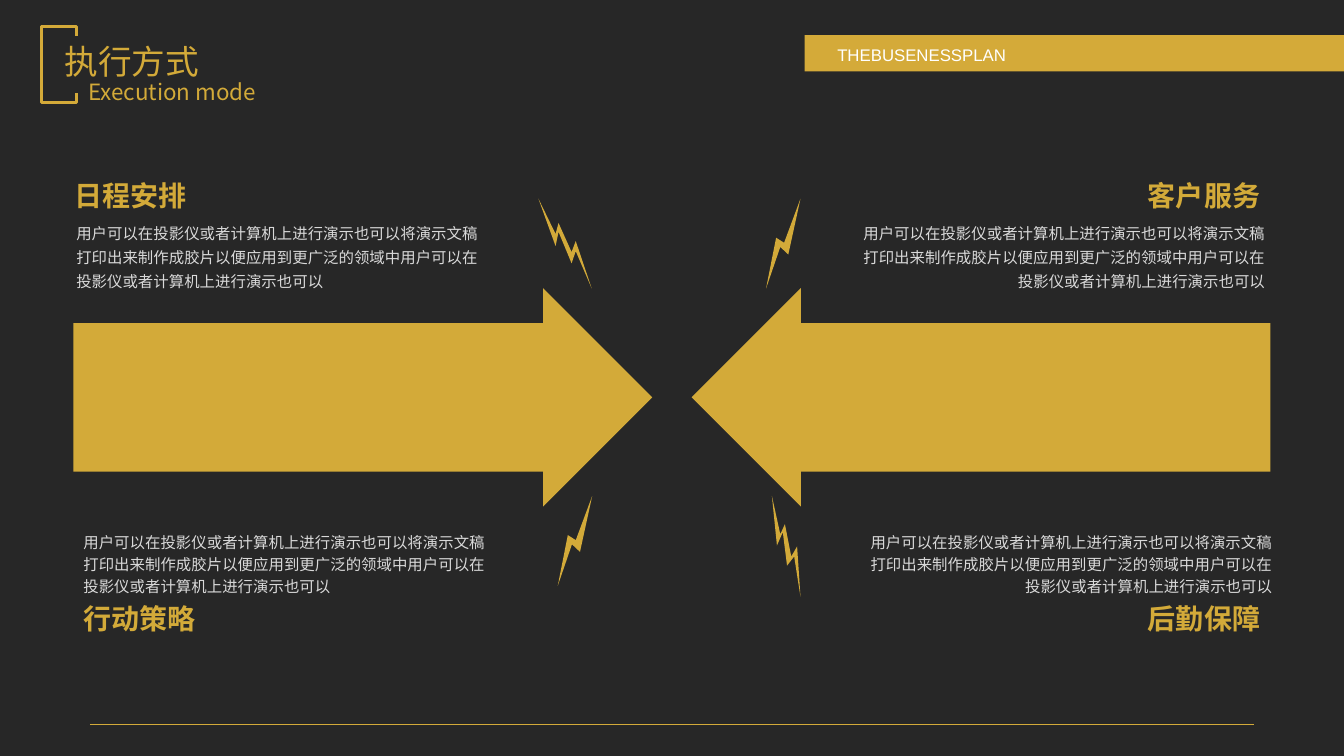
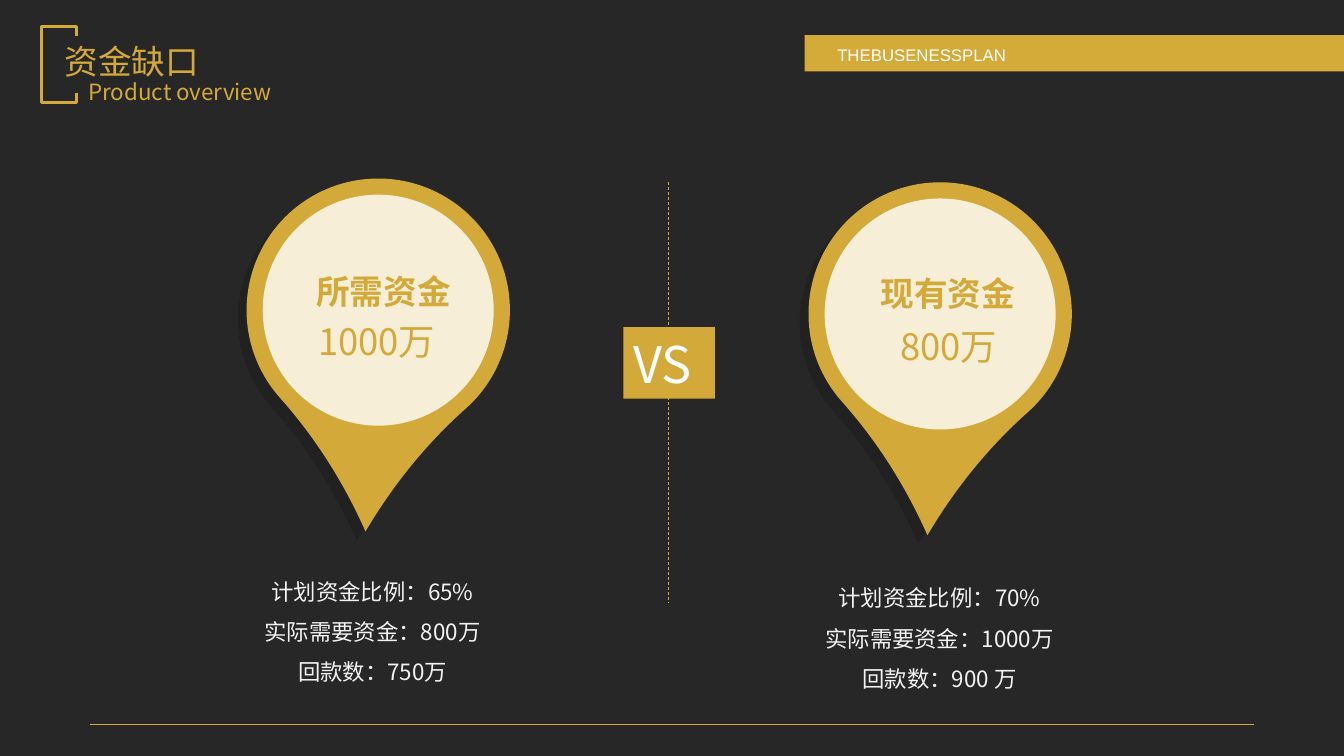
from lxml import etree
from pptx import Presentation
from pptx import util as u
from pptx.dml.color import RGBColor
from pptx.enum import dml, shapes, text
from pptx.oxml.ns import qn

# The slide is a grid of 160 columns by 90 rows of square cells.
COLS, ROWS = 160, 90
CELL = u.Inches(7.5) // ROWS
GOLD, BAND, DARK, CREAM = "D3AA39", "D4AA39", "272727", "F6EED7"
WHITE, PALE, GREY = "FFFFFF", "F2F2F2", "D9D9D9"
SANS = "Noto Sans CJK SC"
hue = RGBColor.from_string
Kind = shapes.MSO_SHAPE
LEFT, MID, RIGHT = text.PP_ALIGN.LEFT, text.PP_ALIGN.CENTER, text.PP_ALIGN.RIGHT


def put(page, kind, spot, fill=None, line=None, width=0.5):
    """Add a preset shape, "text" box, "line" (from, to) or "path" of points, in cells."""
    if kind == "path":
        dots = [(x * 100, y * 100) for x, y in spot]
        pen = page.shapes.build_freeform(*dots[0], scale=CELL / 100)
        pen.add_line_segments(dots[1:], close=bool(fill))
        item = pen.convert_to_shape()
    else:
        box = [int(n * CELL) for n in spot]
        if kind == "text":
            return page.shapes.add_textbox(*box)
        if kind == "line":
            item = page.shapes.add_connector(shapes.MSO_CONNECTOR.STRAIGHT, *box)
            etree.SubElement(item._element.spPr, qn("a:effectLst"))
        else:
            item = page.shapes.add_shape(kind, *box)
    if kind != "line":
        item.shadow.inherit = False
        if fill:
            item.fill.solid()
            item.fill.fore_color.rgb = hue(fill)
        else:
            item.fill.background()
    if line:
        item.line.color.rgb = hue(line)
        item.line.width = u.Pt(width)
    else:
        item.line.fill.background()
    return item


def write(item, words, size, color, align=LEFT, bold=False, space=1, face=SANS):
    frame = item.text_frame
    frame.word_wrap = True
    frame.text = words
    for para in frame.paragraphs:
        para.alignment = align
        para.line_spacing = space
        for run in para.runs:
            run.font.size = u.Pt(size)
            run.font.bold = bold
            run.font.color.rgb = hue(color)
            run.font.name = face
            etree.SubElement(run._r.get_or_add_rPr(), qn("a:ea"), typeface=face)


deck = Presentation()
deck.slide_width, deck.slide_height = COLS * CELL, ROWS * CELL
back = deck.slide_master.background.fill
back.solid()
back.fore_color.rgb = hue(DARK)

# Shared frame: band, footer rule, bracket and title
HOOK = [(9.15, 4.3), (9.15, 3.2), (4.9, 3.2), (4.9, 12.25), (9.15, 12.25), (9.15, 11.05)]
pages = []
for title, sub in [("执行方式", "Execution mode"), ("资金缺口", "Product overview")]:
    page = deck.slides.add_slide(deck.slide_layouts[6])
    put(page, Kind.RECTANGLE, (95.8, 4.2, 64.2, 4.3), BAND)
    write(put(page, "text", (98.5, 4.7, 58.8, 3.6)), "THEBUSENESSPLAN", 12, WHITE, face="Arial")
    put(page, "line", (10.7, 86.25, 149.3, 86.25), line=GOLD)
    put(page, "path", HOOK, line=BAND, width=2.25)
    write(put(page, "text", (6.5, 4.3, 31, 6)), title, 24, GOLD)
    write(put(page, "text", (9.35, 8.75, 26, 4.45)), sub, 16, GOLD)
    pages.append(page)
modes, funds = pages

# Slide 1: two arrows meeting, with sparks and four notes
EDGE, LONG = 8.75, 68.9
for kind, x in [(Kind.RIGHT_ARROW, EDGE), (Kind.LEFT_ARROW, COLS - EDGE - LONG)]:
    arrow = put(modes, kind, (x, 34.3, LONG, 26), GOLD)
    arrow.adjustments[0], arrow.adjustments[1] = 0.68, 0.5

SHORT = [(0, 10.7), (1.2, 4.65), (2.15, 5.25), (4.1, 0), (2.65, 6.65), (1.7, 5.75)]
WIDE = [(6.35, 10.7), (4.45, 5.05), (3.95, 6.35), (2.4, 2.9), (2.05, 4.2),
        (0, 0), (2.05, 5.65), (2.4, 3.95), (3.95, 7.7), (4.45, 6.25)]
STEEP = [(3.4, 12), (3, 6), (2.3, 7.2), (1.55, 3.35), (1, 4.55),
         (0, 0), (0.6, 5.9), (1.3, 4.3), (1.8, 8.3), (2.65, 7.2)]
HIGH, LOW = 23.65, 59.05
for bolt, left, top in [(SHORT, 91.2, HIGH), (WIDE, 64.1, HIGH),
                        (STEEP, 91.9, LOW), (SHORT, 66.4, LOW)]:
    put(modes, "path", [(left + x, top + y) for x, y in bolt], GOLD)

NOTE = ("用户可以在投影仪或者计算机上进行演示也可以将演示文稿打印出来制作成胶片"
        "以便应用到更广泛的领域中用户可以在投影仪或者计算机上进行演示也可以")
UPPER, LOWER = (20.65, 25.45, 13.7, 1.3), (71.05, 62.4, 9.7, 1.2)
for head, headx, notex, row, align in [
    ("日程安排", 7.7, 7.9, UPPER, LEFT),
    ("行动策略", 8.75, 8.75, LOWER, LEFT),
    ("客户服务", 118.7, 100.3, UPPER, RIGHT),
    ("后勤保障", 118.7, 101.15, LOWER, RIGHT),
]:
    heady, notey, high, space = row
    write(put(modes, "text", (headx, heady, 32.5, 5.3)), head, 20, GOLD, align, bold=True)
    write(put(modes, "text", (notex, notey, 51.5, high)), NOTE, 11, GREY, align, space=space)

# Slide 2: two pins compared
PIN, DISC, WIDTH = 31.35, 27.5, 34.5
GAP = (PIN - DISC) / 2
for x, y, head, headx, heady, sum_, sumx, sumy, facts, factx, facty in [
    (29.35, 21.25, "所需资金", 28.4, 31.7, "1000万", 27.6, 37.45,
     ["计划资金比例：65%", "实际需要资金：800万", "回款数：750万"], 27.1, 66.6),
    (96.25, 21.7, "现有资金", 95.6, 31.95, "800万", 95.7, 38.05,
     ["计划资金比例：70%", "实际需要资金：1000万", "回款数：900 万"], 94.6, 67.4),
]:
    pin = put(funds, Kind.TEAR, (x, y, PIN, PIN), GOLD)
    pin.adjustments[0] = 1.19
    pin.rotation = 138.3
    glow = etree.SubElement(pin._element.spPr.find(qn("a:effectLst")), qn("a:outerShdw"),
                            blurRad="0", dist=str(u.Pt(9)), dir="8100000", rotWithShape="0")
    ink = etree.SubElement(glow, qn("a:srgbClr"), val="000000")
    etree.SubElement(ink, qn("a:alpha"), val="13000")
    put(funds, Kind.OVAL, (x + GAP, y + GAP, DISC, DISC), CREAM)
    write(put(funds, "text", (headx, heady, WIDTH, 6)), head, 24, GOLD, MID, bold=True)
    write(put(funds, "text", (sumx, sumy, WIDTH, 6.5)), sum_, 26, GOLD, MID)
    write(put(funds, "text", (factx, facty, WIDTH, 15.7)), "\n".join(facts), 16, PALE, MID, space=1.5)

rule = put(funds, "line", (79.6, 21.7, 79.6, 71.75), line=GOLD)
rule.line.dash_style = dml.MSO_LINE.DASH
versus = put(funds, Kind.RECTANGLE, (74.2, 38.95, 10.9, 8.5), GOLD)
versus.text_frame.margin_top = versus.text_frame.margin_bottom = 0
write(versus, "VS", 36, WHITE)

deck.save("out.pptx")
